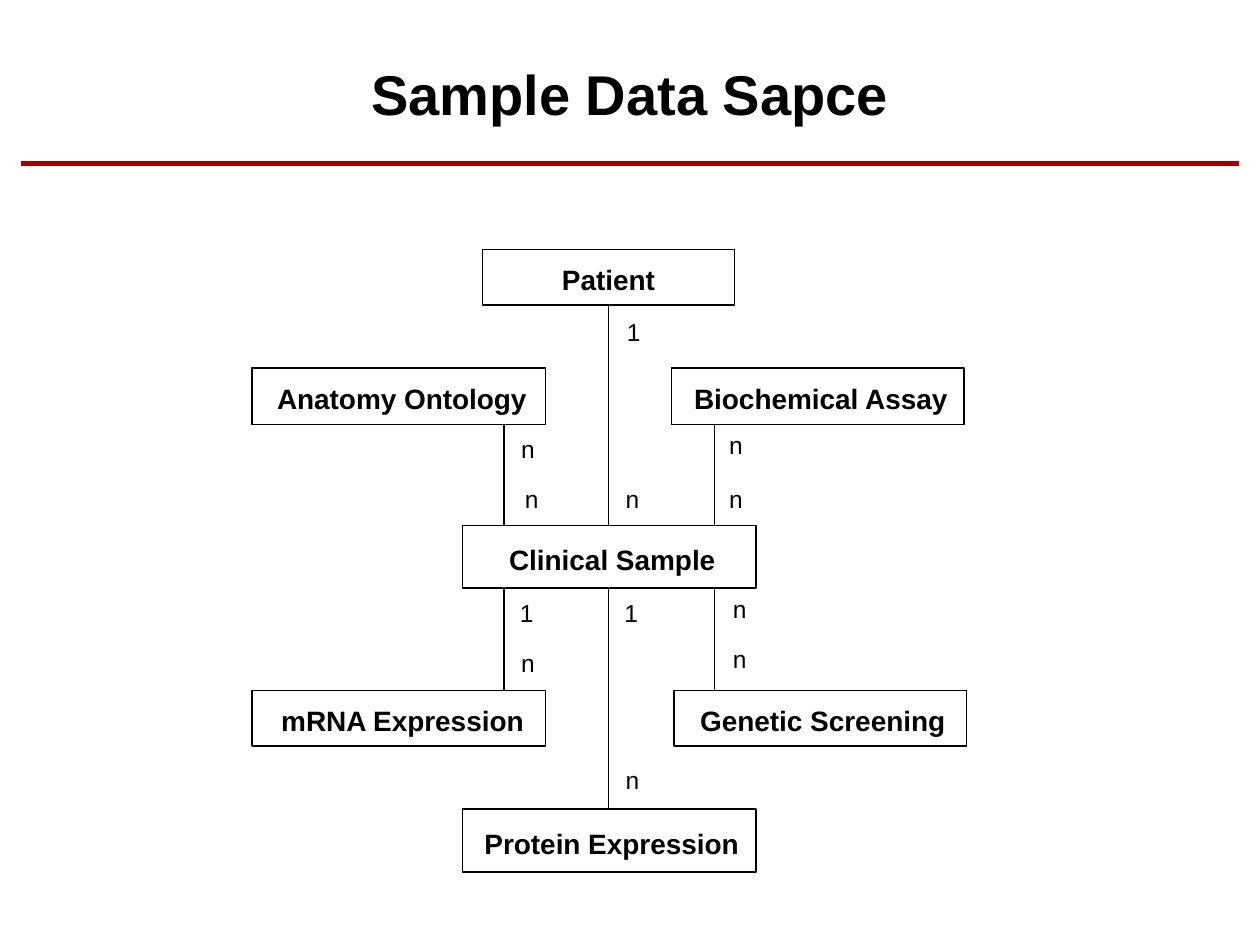
"""Build the sample data space slide: entity boxes joined by cardinality lines."""
from dataclasses import dataclass

from lxml import etree
from pptx import Presentation
from pptx.dml.color import RGBColor
from pptx.enum.shapes import MSO_CONNECTOR, MSO_SHAPE
from pptx.enum.text import MSO_ANCHOR, PP_ALIGN
from pptx.oxml.ns import qn
from pptx.util import Inches, Pt

STRAIGHT = MSO_CONNECTOR.STRAIGHT
RECTANGLE = MSO_SHAPE.RECTANGLE
MIDDLE = MSO_ANCHOR.MIDDLE
CENTER = PP_ALIGN.CENTER


@dataclass(frozen=True)
class Theme:
    font: str = "Arial"
    ink: RGBColor = RGBColor(0x00, 0x00, 0x00)
    paper: RGBColor = RGBColor(0xFF, 0xFF, 0xFF)
    accent: RGBColor = RGBColor(0x9E, 0x00, 0x00)
    title: Pt = Pt(32)
    entity: Pt = Pt(16)
    cardinality: Pt = Pt(14)
    rule: Pt = Pt(3)
    thin: Pt = Pt(1)


THEME = Theme()


def write(shape, text, size, bold, margins):
    frame = shape.text_frame
    frame.word_wrap = True
    frame.vertical_anchor = MIDDLE
    frame.margin_left, frame.margin_top, frame.margin_right, frame.margin_bottom = map(Inches, margins)
    paragraph = frame.paragraphs[0]
    paragraph.text = text
    paragraph.alignment = CENTER
    paragraph.font.name = THEME.font
    paragraph.font.size = size
    paragraph.font.bold = bold
    paragraph.font.color.rgb = THEME.ink


def connect(slide, start, end, color, width):
    connector = slide.shapes.add_connector(STRAIGHT, *map(Inches, start + end))
    connector.line.color.rgb = color
    connector.line.width = width
    etree.SubElement(connector._element.spPr, qn("a:effectLst"))


presentation = Presentation()
presentation.slide_width = Inches(10)
presentation.slide_height = Inches(7.5)
slide = presentation.slides.add_slide(presentation.slide_layouts[6])

title = slide.shapes.add_textbox(Inches(0.25), Inches(0.42), Inches(9.5), Inches(0.64))
write(title, "Sample Data Sapce", THEME.title, True, (0.1, 0.05, 0.1, 0.05))
connect(slide, (0.17, 1.3), (9.83, 1.3), THEME.accent, THEME.rule)

left_x, middle_x, right_x = 4, 4.83, 5.67
relations = [
    (middle_x, 2.42, 6.42),
    (left_x, 3.37, 4.17),
    (right_x, 3.37, 4.17),
    (left_x, 4.67, 5.48),
    (right_x, 4.67, 5.48),
]
for x, top, bottom in relations:
    connect(slide, (x, top), (x, bottom), THEME.ink, THEME.thin)

entities = [
    ("Patient", 3.83, 1.98, 2, 0.44, 0),
    ("Anatomy Ontology", 2, 2.92, 2.33, 0.45, 0.05),
    ("Biochemical Assay", 5.33, 2.92, 2.32, 0.45, 0.05),
    ("Clinical Sample", 3.67, 4.17, 2.33, 0.5, 0.05),
    ("mRNA Expression", 2, 5.48, 2.33, 0.44, 0.06),
    ("Genetic Screening", 5.35, 5.48, 2.32, 0.44, 0.04),
    ("Protein Expression", 3.67, 6.42, 2.33, 0.5, 0.04),
]
for name, left, top, width, height, indent in entities:
    box = slide.shapes.add_shape(RECTANGLE, *map(Inches, (left, top, width, height)))
    box.shadow.inherit = False
    box.fill.solid()
    box.fill.fore_color.rgb = THEME.paper
    box.line.color.rgb = THEME.ink
    box.line.width = THEME.thin
    write(box, name, THEME.entity, True, (indent, 0.04, 0, 0))

label_width, label_height = 0.4, 0.3
cardinalities = [
    ("1", 5.03, 2.63),
    ("n", 4.19, 3.56),
    ("n", 5.84, 3.53),
    ("n", 4.22, 3.96),
    ("n", 5.02, 3.96),
    ("n", 5.84, 3.96),
    ("1", 4.18, 4.86),
    ("1", 5.01, 4.86),
    ("n", 5.87, 4.83),
    ("n", 4.19, 5.26),
    ("n", 5.87, 5.23),
    ("n", 5.02, 6.19),
]
for text, x, y in cardinalities:
    label = slide.shapes.add_textbox(
        Inches(x - label_width / 2), Inches(y - label_height / 2), Inches(label_width), Inches(label_height)
    )
    write(label, text, THEME.cardinality, False, (0, 0, 0, 0))

presentation.save("out.pptx")
